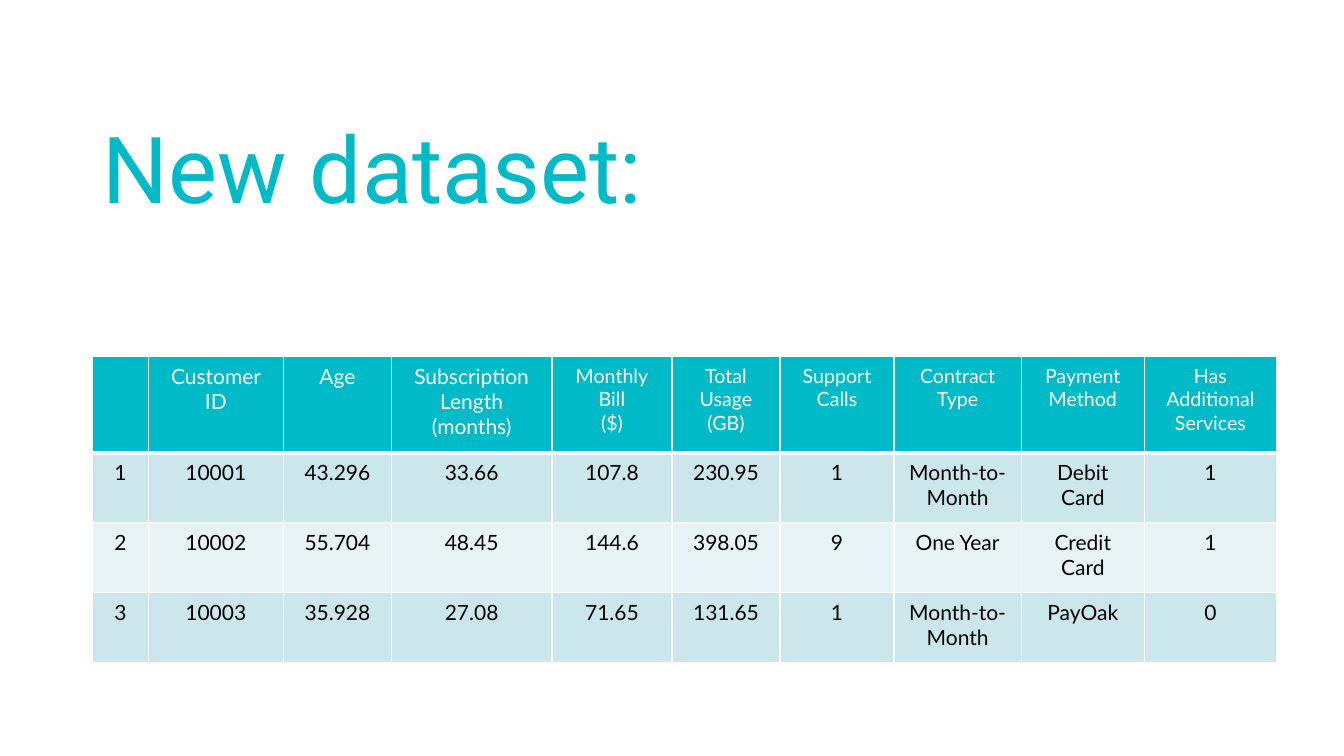
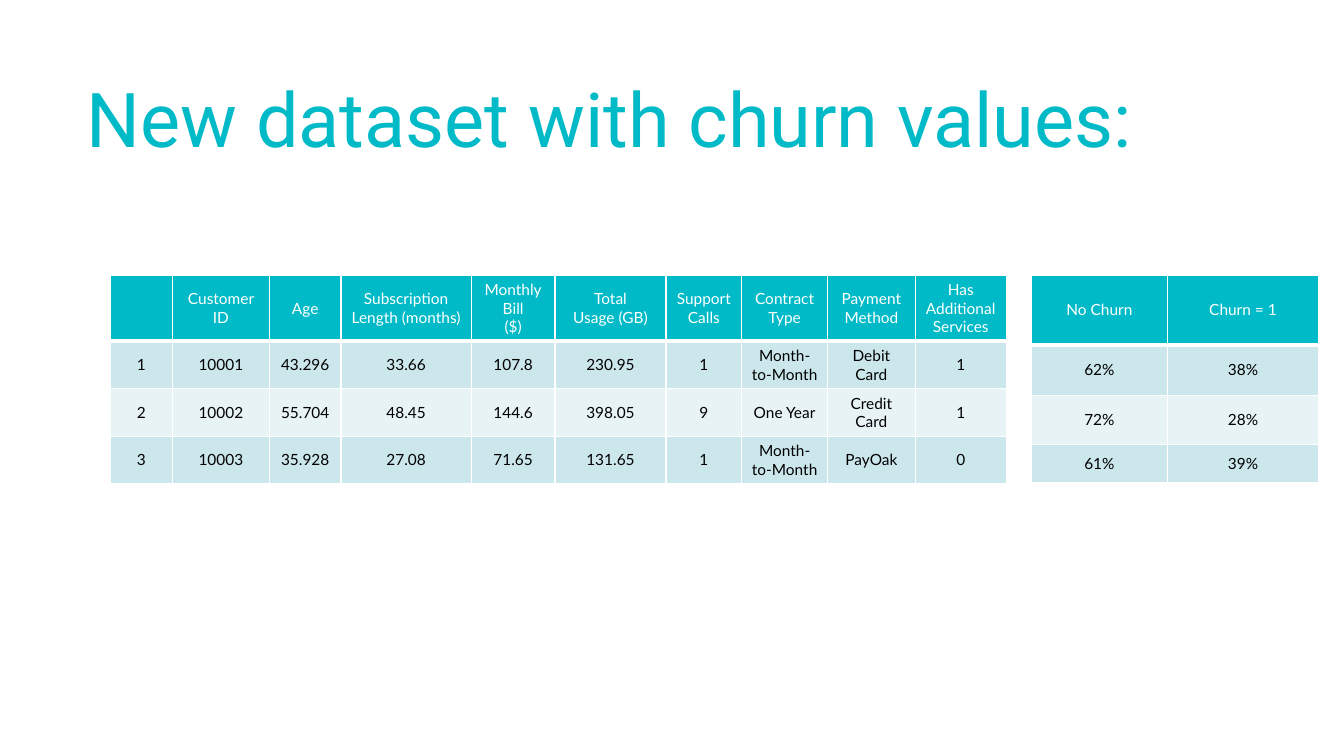
"""Build two slides that show a customer dataset and its predicted churn."""
from dataclasses import dataclass

from lxml import etree
from pptx import Presentation
from pptx.dml.color import RGBColor
from pptx.enum.text import MSO_ANCHOR, MSO_AUTO_SIZE, PP_ALIGN
from pptx.oxml.ns import qn
from pptx.util import Inches, Pt

TOP, MIDDLE = MSO_ANCHOR.TOP, MSO_ANCHOR.MIDDLE
LEFT, CENTER = PP_ALIGN.LEFT, PP_ALIGN.CENTER
NO_AUTOFIT = MSO_AUTO_SIZE.NONE

SLIDE_WIDTH, SLIDE_HEIGHT = Inches(13.33), Inches(7.5)
TITLE_ONLY = 5
TITLE_FONT, TABLE_FONT = "Roboto", "Lato"
COLORS = {
    "accent": "00BAC8",
    "band_dark": "CCE7EB",
    "band_light": "E7F3F5",
    "white": "FFFFFF",
    "black": "000000",
}
THIN, THICK = 1, 3

CUSTOMERS = [
    ["", "Customer ID", "Age", "Subscription\nLength (months)", "Monthly\nBill\n($)",
     "Total\nUsage (GB)", "Support Calls", "Contract Type", "Payment Method",
     "Has Additional Services"],
    ["1", "10001", "43.296", "33.66", "107.8", "230.95", "1", "Month-to-Month",
     "Debit Card", "1"],
    ["2", "10002", "55.704", "48.45", "144.6", "398.05", "9", "One Year",
     "Credit Card", "1"],
    ["3", "10003", "35.928", "27.08", "71.65", "131.65", "1", "Month-to-Month",
     "PayOak", "0"],
]
CHURN = [["No Churn", "Churn = 1"], ["62%", "38%"], ["72%", "28%"], ["61%", "39%"]]


@dataclass(frozen=True)
class Area:
    """A rectangle in percent of the slide's width and height."""
    left: float
    top: float
    width: float
    height: float

    def lengths(self) -> tuple[int, int, int, int]:
        """Return left, top, width and height as slide lengths."""
        return (int(SLIDE_WIDTH * self.left / 100), int(SLIDE_HEIGHT * self.top / 100),
                int(SLIDE_WIDTH * self.width / 100), int(SLIDE_HEIGHT * self.height / 100))


@dataclass(frozen=True)
class TableSpec:
    """A table with its relative column and row sizes and its text style."""
    area: Area
    rows: list[list[str]]
    column_weights: list[float]
    row_weights: list[float]
    size: float = 11
    anchor: MSO_ANCHOR = MIDDLE
    margins: tuple[float, float] = (0.1, 0.05)
    small_header_from: int = 99
    small_header_size: float = 14


@dataclass(frozen=True)
class PageSpec:
    """A slide with a title and tables."""
    title: str
    title_area: Area
    title_size: float
    tables: list[TableSpec]


PAGES = [
    PageSpec("New dataset:", Area(6.9, 8.67, 51.84, 28.67), 66, [
        TableSpec(Area(6.9, 47.2, 88.1, 40.4), CUSTOMERS,
                  [0.55, 1.34, 1.07, 1.59, 1.19, 1.07, 1.13, 1.26, 1.22, 1.31],
                  [0.95, 0.69, 0.69, 0.69], size=15, anchor=TOP,
                  margins=(0.14, 0.07), small_header_from=4),
    ]),
    PageSpec("New dataset with churn values:", Area(5.7, 6.67, 86.27, 19.33), 54, [
        TableSpec(Area(8.18, 36.4, 66.69, 27.47), CUSTOMERS,
                  [0.62, 0.96, 0.71, 1.29, 0.83, 1.1, 0.75, 0.85, 0.87, 0.9],
                  [0.65, 0.47, 0.47, 0.47]),
        TableSpec(Area(76.74, 36.4, 21.38, 27.47), CHURN,
                  [1.35, 1.5], [0.69, 0.5, 0.49, 0.38]),
    ]),
]


def color(name: str) -> RGBColor:
    """Return a named colour."""
    return RGBColor.from_string(COLORS[name])


def add_span(para, text: str, font: str, size: float, color_name: str) -> None:
    """Add one formatted run to a paragraph."""
    span = para.add_run()
    span.text = text
    span.font.name = font
    span.font.size = Pt(size)
    span.font.bold = False
    span.font.color.rgb = color(color_name)


def set_borders(cell, top: float, bottom: float) -> None:
    """Draw white borders around a cell."""
    properties = cell._tc.get_or_add_tcPr()
    widths = {"a:lnL": THIN, "a:lnR": THIN, "a:lnT": top, "a:lnB": bottom}
    for position, (tag, width) in enumerate(widths.items()):
        line = etree.Element(qn(tag), w=str(Pt(width)))
        fill = etree.SubElement(line, qn("a:solidFill"))
        etree.SubElement(fill, qn("a:srgbClr"), val=COLORS["white"])
        properties.insert(position, line)


def fill_cell(cell, text: str, row: int, size: float, spec: TableSpec) -> None:
    """Format one cell and write its paragraphs."""
    is_header = row == 0
    band = "accent" if is_header else "band_dark" if row % 2 else "band_light"
    cell.fill.solid()
    cell.fill.fore_color.rgb = color(band)
    cell.vertical_anchor = spec.anchor
    side, edge = (Inches(margin) for margin in spec.margins)
    cell.margin_left = cell.margin_right = side
    cell.margin_top = cell.margin_bottom = edge
    set_borders(cell, THICK if row == 1 else THIN, THICK if is_header else THIN)
    frame = cell.text_frame
    for index, line in enumerate(text.split("\n")):
        para = frame.add_paragraph() if index else frame.paragraphs[0]
        para.alignment = CENTER
        if line:
            add_span(para, line, TABLE_FONT, size, "white" if is_header else "black")


def add_data_table(page, spec: TableSpec) -> None:
    """Add a banded table to a slide."""
    left, top, width, height = spec.area.lengths()
    table = page.shapes.add_table(len(spec.rows), len(spec.column_weights),
                                  left, top, width, height).table
    table.horz_banding = table.first_row = False
    for column, weight in zip(table.columns, spec.column_weights):
        column.width = int(width * weight / sum(spec.column_weights))
    for row, weight in zip(table.rows, spec.row_weights):
        row.height = int(height * weight / sum(spec.row_weights))
    for row, texts in enumerate(spec.rows):
        for column, text in enumerate(texts):
            is_small = row == 0 and column >= spec.small_header_from
            size = spec.small_header_size if is_small else spec.size
            fill_cell(table.cell(row, column), text, row, size, spec)


def add_title(page, spec: PageSpec) -> None:
    """Place and write the title."""
    box = page.shapes.title
    box.left, box.top, box.width, box.height = spec.title_area.lengths()
    frame = box.text_frame
    frame.auto_size = NO_AUTOFIT
    frame.word_wrap = True
    frame.vertical_anchor = MIDDLE
    para = frame.paragraphs[0]
    para.alignment = LEFT
    para.line_spacing = 0.9
    add_span(para, spec.title, TITLE_FONT, spec.title_size, "accent")


def main() -> None:
    """Build and save the deck."""
    deck = Presentation()
    deck.slide_width, deck.slide_height = SLIDE_WIDTH, SLIDE_HEIGHT
    for spec in PAGES:
        page = deck.slides.add_slide(deck.slide_layouts[TITLE_ONLY])
        add_title(page, spec)
        for table in spec.tables:
            add_data_table(page, table)
    deck.save("out.pptx")


if __name__ == "__main__":
    main()
